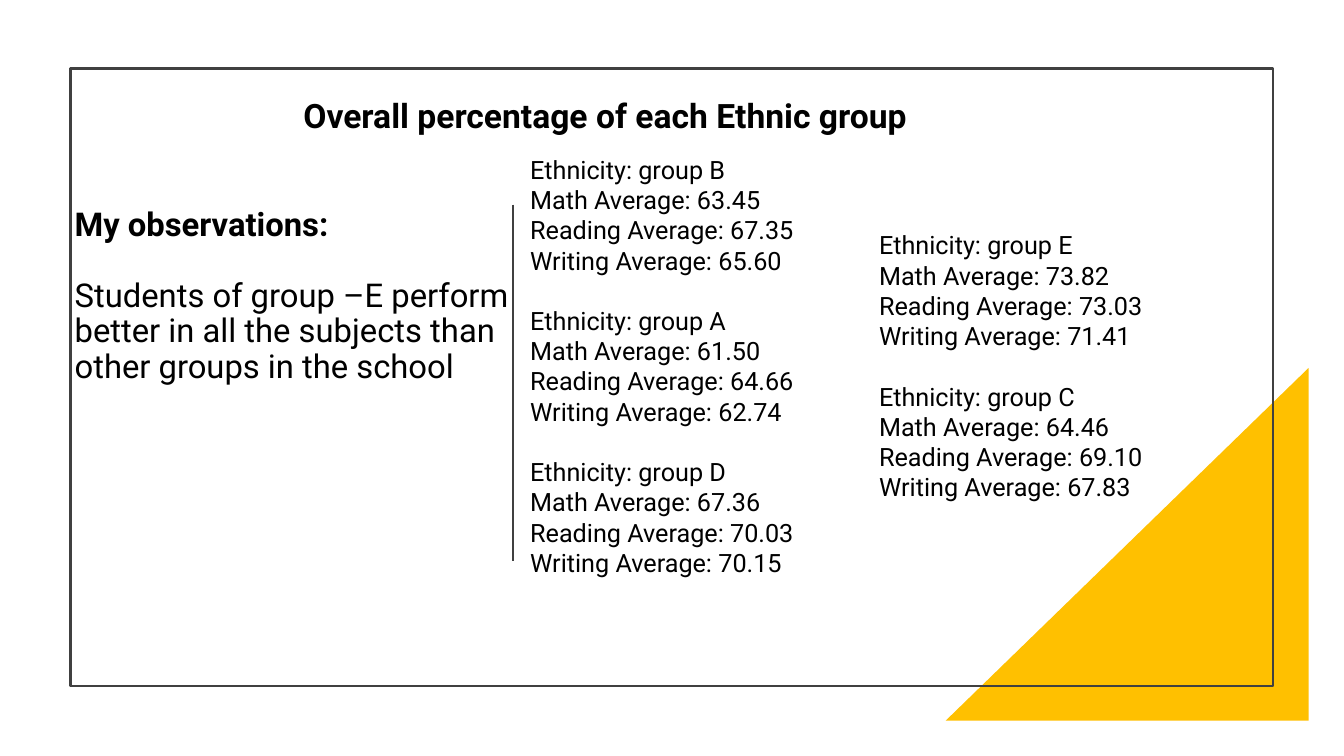
from lxml import etree
from pptx import Presentation
from pptx import util as u
from pptx.dml.color import RGBColor
from pptx.enum import shapes, text
from pptx.oxml.ns import qn


def colour(value):
    return RGBColor.from_string(value)


class SlideBuilder:
    """Hold the slide style and draw each kind of element on the current slide."""

    font = "Roboto"
    ink = "000000"
    border = "404040"
    accent = "FFC000"
    border_width = u.Pt(1.5)

    def __init__(self, slide):
        self.slide = slide

    def box(self, left, top, width, height):
        return [u.Inches(value) for value in (left, top, width, height)]

    def add_words(self, paragraph, words, size, bold=False):
        run = paragraph.add_run()
        run.text = words
        run.font.name = self.font
        run.font.size = u.Pt(size)
        run.font.bold = bold
        run.font.color.rgb = colour(self.ink)

    def shape(self, kind, area, fill=None, line=None):
        shape = self.slide.shapes.add_shape(kind, *self.box(*area))
        shape.shadow.inherit = False
        if fill:
            shape.fill.solid()
            shape.fill.fore_color.rgb = colour(fill)
        else:
            shape.fill.background()
        if line:
            shape.line.color.rgb = colour(line)
            shape.line.width = self.border_width
        else:
            shape.line.fill.background()
        return shape

    def triangle(self, area):
        shape = self.shape(shapes.MSO_SHAPE.RIGHT_TRIANGLE, area, fill=self.accent)
        shape._element.spPr.find(qn("a:xfrm")).set("flipH", "1")

    def frame(self, area):
        self.shape(shapes.MSO_SHAPE.RECTANGLE, area, line=self.border)

    def divider(self, x, top, bottom):
        line = self.slide.shapes.add_connector(
            shapes.MSO_CONNECTOR.STRAIGHT,
            u.Inches(x), u.Inches(top), u.Inches(x), u.Inches(bottom))
        line.line.color.rgb = colour(self.border)
        line.line.width = self.border_width
        etree.SubElement(line._element.spPr, qn("a:effectLst"))

    def observations(self, area, heading, finding):
        title = self.slide.shapes.title
        title.left, title.top, title.width, title.height = self.box(*area)
        frame = title.text_frame
        frame.word_wrap = True
        frame.auto_size = text.MSO_AUTO_SIZE.NONE
        frame.vertical_anchor = text.MSO_ANCHOR.TOP
        first, second = frame.paragraphs[0], frame.add_paragraph()
        second.space_before = u.Pt(25)
        for paragraph, words in ((first, heading), (second, finding)):
            paragraph.alignment = text.PP_ALIGN.LEFT
            paragraph.line_spacing = 0.9
            self.add_words(paragraph, words, 23.4, bold=paragraph is first)

    def text_box(self, area):
        frame = self.slide.shapes.add_textbox(*self.box(*area)).text_frame
        frame.word_wrap = True
        return frame

    def heading(self, area, words):
        self.add_words(self.text_box(area).paragraphs[0], words, 24, bold=True)

    def averages(self, area, groups):
        frame = self.text_box(area)
        paragraph = frame.paragraphs[0]
        for index, (group, *scores) in enumerate(groups):
            if index:
                paragraph = frame.add_paragraph()
                paragraph.space_before = u.Pt(21.6)
            self.add_words(paragraph, f"Ethnicity: group {group}", 18)
            for subject, score in zip(("Math", "Reading", "Writing"), scores):
                self.add_words(frame.add_paragraph(), f"{subject} Average: {score:.2f}", 18)


def main():
    presentation = Presentation()
    presentation.slide_width = u.Inches(13.33)
    presentation.slide_height = u.Inches(7.5)
    slide = presentation.slides.add_slide(presentation.slide_layouts[5])
    builder = SlideBuilder(slide)
    builder.triangle((9.38, 3.65, 3.6, 3.5))
    builder.frame((0.7, 0.68, 11.93, 6.13))
    builder.observations(
        (0.64, 2.02, 5.05, 3.43),
        "My observations:",
        "Students of group –E perform better in all the subjects "
        "than other groups in the school")
    builder.divider(5.09, 2.03, 5.57)
    builder.heading((2.91, 0.89, 7.28, 0.5), "Overall percentage of each Ethnic group")
    builder.averages((5.16, 1.48, 3.4, 4.34), [
        ("B", 63.45, 67.35, 65.60),
        ("A", 61.50, 64.66, 62.74),
        ("D", 67.36, 70.03, 70.15)])
    builder.averages((8.62, 2.23, 3.61, 2.83), [
        ("E", 73.82, 73.03, 71.41),
        ("C", 64.46, 69.10, 67.83)])
    presentation.save("out.pptx")


if __name__ == "__main__":
    main()
